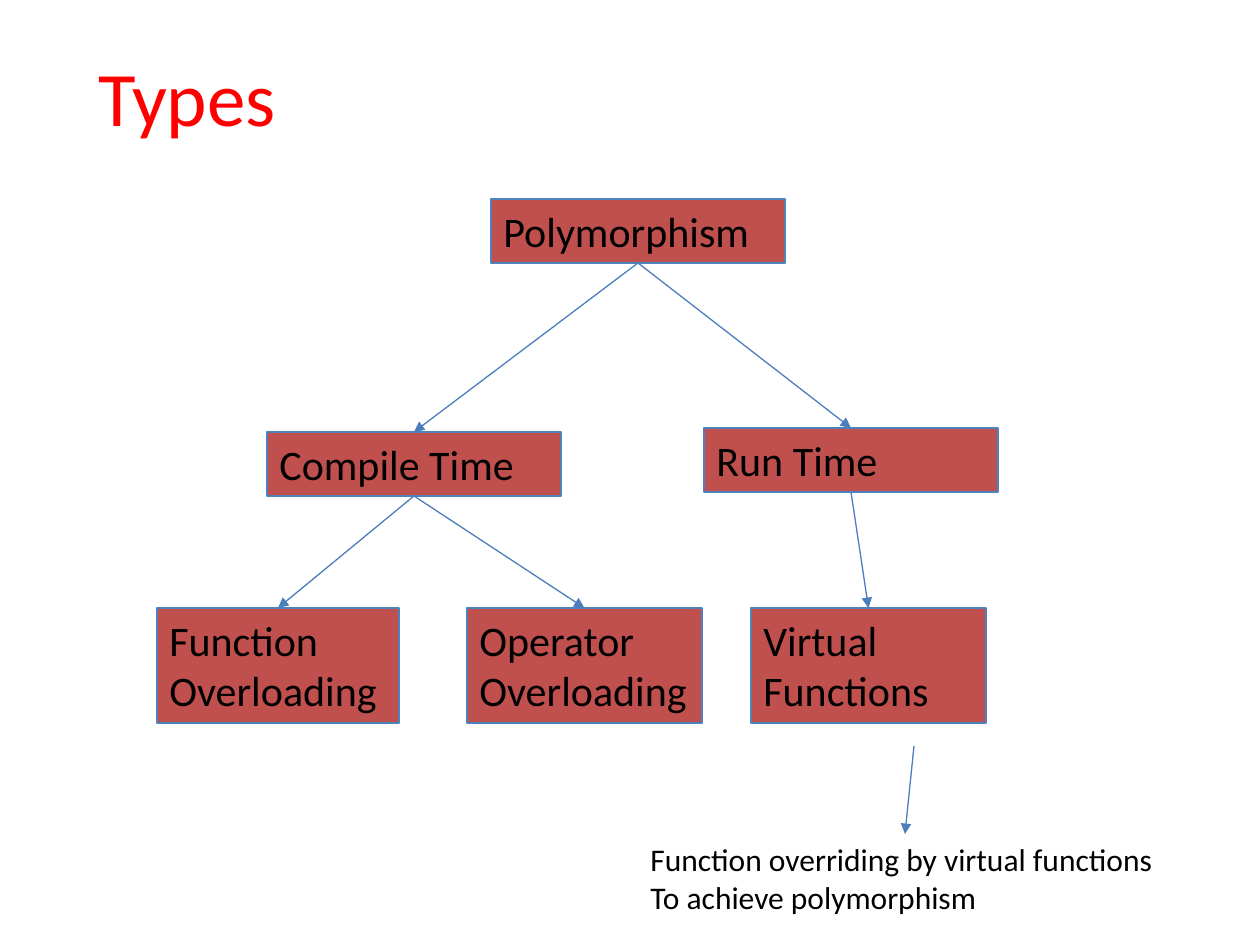
from pptx import Presentation
from pptx.dml.color import RGBColor
from pptx.enum.shapes import MSO_CONNECTOR, MSO_SHAPE
from pptx.enum.text import MSO_ANCHOR, PP_ALIGN
from pptx.oxml.ns import qn
from pptx.util import Pt
from lxml.etree import SubElement

EMU_PER_PX = 914400 / 126
RED = RGBColor(0xFF, 0x00, 0x00)
BLACK = RGBColor(0x00, 0x00, 0x00)
BRICK = RGBColor(0xC0, 0x50, 0x4D)
BORDER = RGBColor(0x4F, 0x81, 0xBD)
ARROW = RGBColor(0x4B, 0x7E, 0xBC)
LINE_WIDTH = Pt(0.75)
TOP, BOTTOM = 0, 2

NODES = {
    "Polymorphism": (491, 199, 294, 64),
    "Compile Time": (267, 432, 294, 64),
    "Run Time": (704, 428, 294, 64),
    "Function Overloading": (157, 608, 242, 115),
    "Operator Overloading": (467, 608, 235, 115),
    "Virtual Functions": (751, 608, 235, 115),
}
LINKS = [
    ("Polymorphism", "Run Time"),
    ("Polymorphism", "Compile Time"),
    ("Compile Time", "Function Overloading"),
    ("Compile Time", "Operator Overloading"),
    ("Run Time", "Virtual Functions"),
]


def px(*lengths):
    return [round(length * EMU_PER_PX) for length in lengths]


def write_text(frame, lines, size, color, frame_format):
    for name, value in frame_format.items():
        setattr(frame, name, value)
    for index, line in enumerate(lines):
        para = frame.paragraphs[0] if index == 0 else frame.add_paragraph()
        para.alignment = PP_ALIGN.LEFT
        span = para.add_run()
        span.text = line
        for name, value in {"name": "Calibri", "size": Pt(size)}.items():
            setattr(span.font, name, value)
        span.font.color.rgb = color


def add_text(slide, place, lines, size, color, **frame_format):
    box = slide.shapes.add_textbox(*px(*place))
    write_text(box.text_frame, lines, size, color, frame_format)


def add_node(slide, label, place):
    node = slide.shapes.add_shape(MSO_SHAPE.RECTANGLE, *px(*place))
    node.shadow.inherit = False
    node.fill.solid()
    node.fill.fore_color.rgb = BRICK
    node.line.color.rgb = BORDER
    node.line.width = LINE_WIDTH
    write_text(node.text_frame, [label], 24, BLACK,
               {"word_wrap": True, "vertical_anchor": MSO_ANCHOR.TOP})
    return node


def add_arrow(slide, start=(0, 0), end=(0, 0)):
    arrow = slide.shapes.add_connector(MSO_CONNECTOR.STRAIGHT, *px(*start, *end))
    arrow.line.color.rgb = ARROW
    arrow.line.width = LINE_WIDTH
    properties = arrow._element.spPr
    SubElement(properties.find(qn("a:ln")), qn("a:tailEnd"), type="triangle")
    SubElement(properties, qn("a:effectLst"))
    return arrow


def link_nodes(slide, parent, child):
    arrow = add_arrow(slide)
    arrow.begin_connect(parent, BOTTOM)
    arrow.end_connect(child, TOP)


def main():
    deck = Presentation()
    deck.slide_width, deck.slide_height = px(1260, 945)
    slide = deck.slides.add_slide(deck.slide_layouts[6])
    no_margins = dict.fromkeys(
        ("margin_left", "margin_top", "margin_right", "margin_bottom"), 0)
    add_text(slide, (98, 50, 1065, 93), ["Types"], 44, RED,
             word_wrap=True, **no_margins)
    nodes = {label: add_node(slide, label, place) for label, place in NODES.items()}
    for parent, child in LINKS:
        link_nodes(slide, nodes[parent], nodes[child])
    add_text(slide, (638, 834, 534, 89),
             ["Function overriding by virtual functions", "To achieve polymorphism"],
             18, BLACK, word_wrap=False)
    add_arrow(slide, (914, 746), (905, 834))
    deck.save("out.pptx")


if __name__ == "__main__":
    main()
